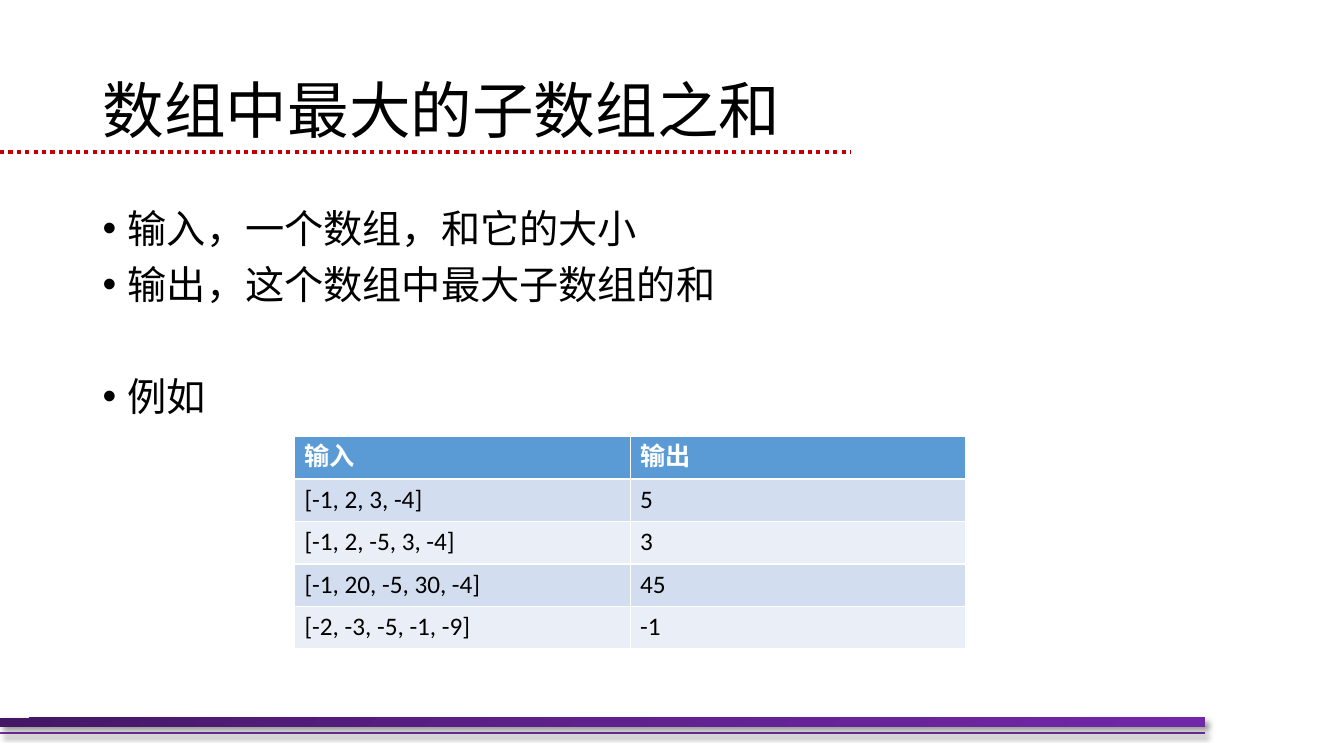
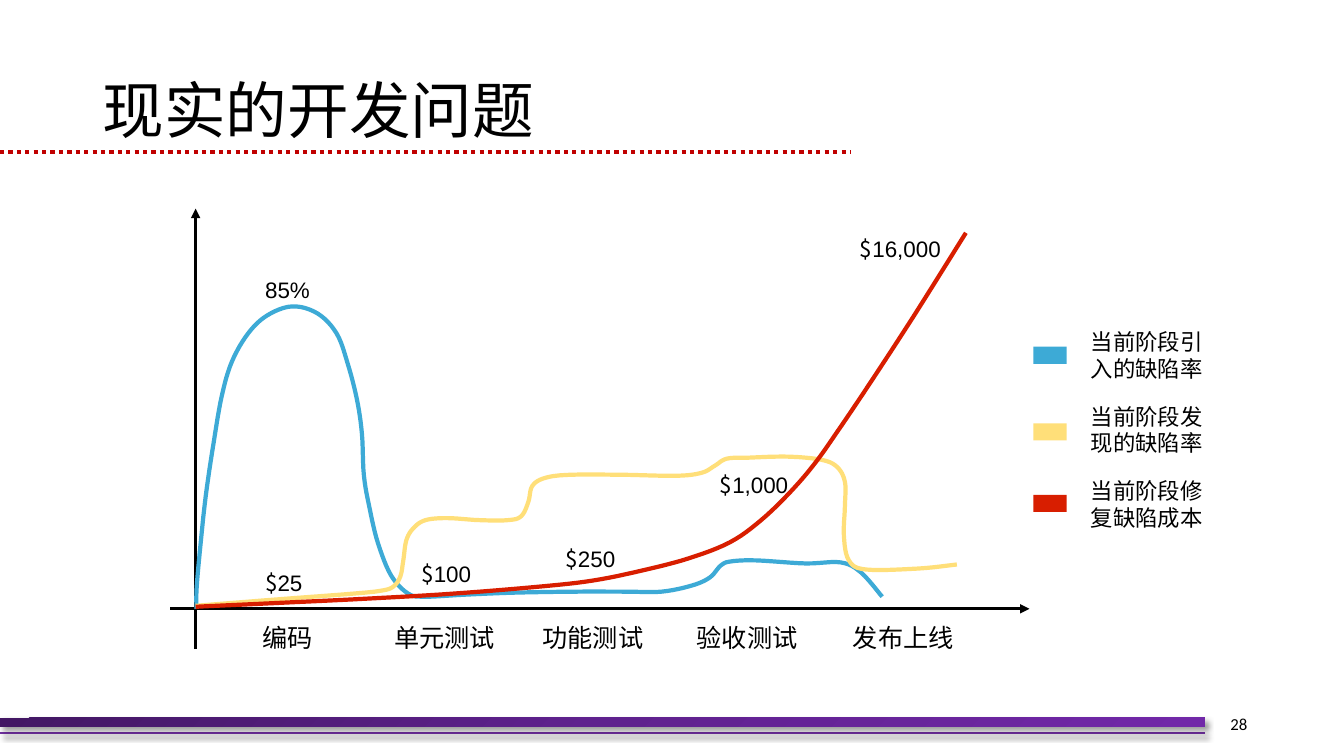
from copy import deepcopy

from lxml import etree
from pptx import Presentation
from pptx.dml.color import RGBColor
from pptx.enum.dml import MSO_LINE
from pptx.enum.shapes import MSO_CONNECTOR, MSO_SHAPE
from pptx.enum.text import MSO_ANCHOR, PP_ALIGN
from pptx.oxml.ns import qn
from pptx.util import Inches, Pt

STRAIGHT = MSO_CONNECTOR.STRAIGHT
RECTANGLE = MSO_SHAPE.RECTANGLE
DOTTED = MSO_LINE.ROUND_DOT
TOP, MIDDLE = MSO_ANCHOR.TOP, MSO_ANCHOR.MIDDLE
LEFT, RIGHT = PP_ALIGN.LEFT, PP_ALIGN.RIGHT

CJK, LATIN, TABLE_FONT = "Noto Sans CJK SC", "Arial", "Calibri"
HEX = {
    "text": "000000", "white": "FFFFFF", "title rule": "C00000", "footer rule": "7030A0",
    "footer dark": "431764", "footer mid": "5F218E", "footer light": "7128A8",
    "header": "5B9BD5", "odd row": "D2DEEF", "even row": "EAEFF7",
    "introduced": "3DAAD6", "found": "FFDF79", "cost": "D81E00",
}
COLOR = {part: RGBColor.from_string(value) for part, value in HEX.items()}

deck = Presentation()
deck.slide_width, deck.slide_height = Inches(13.33), Inches(7.5)
COL, ROW = deck.slide_width / 13.33, deck.slide_height / 7.5


def style_run(run, size, font, color="text", bold=False):
    run.font.size, run.font.name, run.font.bold = Pt(size), font, bold
    run.font.color.rgb = COLOR[color]
    etree.SubElement(run._r.get_or_add_rPr(), qn("a:ea")).set("typeface", font)


def write(slide, x, y, w, h, lines, size, font=CJK, anchor=TOP, align=LEFT, inset=(0, 0)):
    box = slide.shapes.add_textbox(int(x * COL), int(y * ROW), int(w * COL), int(h * ROW))
    frame = box.text_frame
    frame.word_wrap, frame.vertical_anchor = True, anchor
    frame.margin_left = frame.margin_right = Inches(inset[0])
    frame.margin_top = frame.margin_bottom = Inches(inset[1])
    frame.text = "\n".join(lines)
    for paragraph in frame.paragraphs:
        paragraph.alignment = align
        for run in paragraph.runs:
            style_run(run, size, font)
    return frame


slides = []
for title in ("数组中最大的子数组之和", "现实的开发问题"):
    slide = deck.slides.add_slide(deck.slide_layouts[6])
    slides.append(slide)
    footer_rule = slide.shapes.add_connector(STRAIGHT, 0, int(7.27 * ROW), int(11.95 * COL), int(7.27 * ROW))
    footer_rule.line.color.rgb, footer_rule.line.width = COLOR["footer rule"], Pt(1.5)

    band = slide.shapes.add_shape(RECTANGLE, 0, int(7.12 * ROW), int(11.95 * COL), int(0.09 * ROW))
    band.line.fill.background()
    band.fill.gradient()
    band.fill.gradient_angle = 315
    first_stop = band.fill.gradient_stops[0]._gs
    first_stop.addnext(deepcopy(first_stop))
    for stop, tone, share in zip(band.fill.gradient_stops, ("dark", "mid", "light"), (0, 0.5, 1)):
        stop.color.rgb, stop.position = COLOR["footer " + tone], share

    for part in (footer_rule, band):
        effects = etree.SubElement(part._element.spPr, qn("a:effectLst"))
        shadow = etree.SubElement(effects, qn("a:outerShdw"), blurRad=str(Pt(4)), dist=str(Pt(3)),
                                  dir="2700000", algn="tl", rotWithShape="0")
        tint = etree.SubElement(shadow, qn("a:srgbClr"), val=HEX["text"])
        etree.SubElement(tint, qn("a:alpha"), val="40000")

    title_rule = slide.shapes.add_connector(STRAIGHT, 0, int(1.51 * ROW), int(8.44 * COL), int(1.51 * ROW))
    title_rule.line.color.rgb, title_rule.line.width = COLOR["title rule"], Pt(3)
    title_rule.line.dash_style = DOTTED
    etree.SubElement(title_rule._element.spPr, qn("a:effectLst"))

    heading = write(slide, 0.92, 0.4, 11.5, 1.45, [title], 44, anchor=MIDDLE, inset=(0.1, 0.05))
    heading.paragraphs[0].line_spacing = 0.9

problem, defects = slides

points = write(problem, 0.92, 2.03, 11.5, 2.2,
               ["输入，一个数组，和它的大小", "输出，这个数组中最大子数组的和", "例如"], 28, inset=(0.1, 0.05))
for paragraph, gap in zip(points.paragraphs, (0, 10, 50)):
    properties = paragraph._p.get_or_add_pPr()
    properties.set("marL", str(Inches(0.25)))
    properties.set("indent", str(-Inches(0.25)))
    etree.SubElement(properties, qn("a:buFont"), typeface=LATIN)
    etree.SubElement(properties, qn("a:buChar"), char="•")
    paragraph.line_spacing, paragraph.space_before = Pt(30), Pt(gap)

examples = [
    ("输入", "输出"),
    ("[-1, 2, 3, -4]", "5"),
    ("[-1, 2, -5, 3, -4]", "3"),
    ("[-1, 20, -5, 30, -4]", "45"),
    ("[-2, -3, -5, -1, -9]", "-1"),
]
grid = problem.shapes.add_table(len(examples), 2, int(2.92 * COL), int(4.33 * ROW),
                                int(6.66 * COL), int(2.11 * ROW)).table
for r, example in enumerate(examples):
    fill = "header" if r == 0 else "odd row" if r % 2 else "even row"
    for c, value in enumerate(example):
        cell = grid.cell(r, c)
        cell.text_frame.text = value
        cell.fill.solid()
        cell.fill.fore_color.rgb = COLOR[fill]
        style_run(cell.text_frame.paragraphs[0].runs[0], 18, TABLE_FONT,
                  "white" if r == 0 else "text", r == 0)

for part, y in (("introduced", 3.44), ("found", 4.2), ("cost", 4.91)):
    key = defects.shapes.add_shape(RECTANGLE, int(10.25 * COL), int(y * ROW), int(0.33 * COL), int(0.17 * ROW))
    key.shadow.inherit = False
    key.fill.solid()
    key.fill.fore_color.rgb = COLOR[part]
    key.line.fill.background()

legend = write(defects, 10.82, 3.26, 1.14, 2.04,
               ["当前阶段引 入的缺陷率", "当前阶段发 现的缺陷率", "当前阶段修 复缺陷成本"], 16)
for i, paragraph in enumerate(legend.paragraphs):
    paragraph.line_spacing, paragraph.space_before = Pt(19), Pt(15.3 if i else 0)

for x1, y1, x2, y2 in ((1.69, 6.04, 10.21, 6.04), (1.94, 6.44, 1.94, 2.07)):
    axis = defects.shapes.add_connector(STRAIGHT, int(x1 * COL), int(y1 * ROW), int(x2 * COL), int(y2 * ROW))
    axis.line.color.rgb, axis.line.width = COLOR["text"], Pt(2.25)
    etree.SubElement(axis.line._get_or_add_ln(), qn("a:tailEnd"), type="triangle")
    etree.SubElement(axis._element.spPr, qn("a:effectLst"))

curves = {
    "introduced": [
        (1.95, 6.04), (1.95, 5.85), (1.98, 5.5), (2.04, 4.93), (2.12, 4.39), (2.2, 3.93), (2.3, 3.59),
        (2.46, 3.31), (2.65, 3.13), (2.9, 3.04), (3.15, 3.11), (3.34, 3.31), (3.45, 3.61), (3.54, 3.96),
        (3.59, 4.3), (3.61, 4.72), (3.67, 5.06), (3.75, 5.39), (3.88, 5.71), (4.05, 5.89), (4.22, 5.92),
        (4.61, 5.9), (5.1, 5.88), (5.71, 5.87), (6.2, 5.87), (6.56, 5.87), (6.86, 5.81), (7.04, 5.73),
        (7.15, 5.61), (7.25, 5.57), (7.5, 5.56), (7.99, 5.59), (8.34, 5.58), (8.54, 5.68), (8.75, 5.92)],
    "found": [
        (1.94, 6.01), (2.7, 5.95), (3.49, 5.89), (3.78, 5.86), (3.9, 5.82), (3.97, 5.72), (4, 5.56),
        (4.03, 5.36), (4.1, 5.24), (4.22, 5.16), (4.44, 5.14), (4.75, 5.16), (5.04, 5.16), (5.17, 5.12),
        (5.24, 4.98), (5.28, 4.82), (5.41, 4.74), (5.66, 4.71), (6.17, 4.71), (6.71, 4.72), (6.96, 4.69),
        (7.09, 4.62), (7.21, 4.55), (7.43, 4.54), (7.81, 4.53), (8.14, 4.56), (8.3, 4.63), (8.38, 4.78),
        (8.38, 5.02), (8.37, 5.32), (8.42, 5.56), (8.59, 5.65), (9.11, 5.64), (9.49, 5.6)],
    "cost": [
        (1.94, 6.02), (2.8, 5.98), (3.63, 5.94), (4.49, 5.89), (5.35, 5.82), (5.88, 5.76), (6.37, 5.66),
        (6.83, 5.54), (7.24, 5.38), (7.55, 5.16), (7.84, 4.88), (8.08, 4.6), (8.3, 4.29), (8.63, 3.8),
        (9.06, 3.14), (9.58, 2.31)],
}
STEPS = 6
for part, knots in curves.items():
    padded = [knots[0], *knots, knots[-1]]
    smooth = []
    for quad in zip(padded, padded[1:], padded[2:], padded[3:]):
        for step in range(1, STEPS + 1):
            t = step / STEPS
            x, y = (b + t * (c - a) / 2 + t**2 * (2 * a - 5 * b + 4 * c - d) / 2
                    + t**3 * (3 * b - a - 3 * c + d) / 2 for a, b, c, d in zip(*quad))
            smooth.append((int(x * COL), int(y * ROW)))
    outline = defects.shapes.build_freeform(int(knots[0][0] * COL), int(knots[0][1] * ROW))
    outline.add_line_segments(smooth, close=False)
    curve = outline.convert_to_shape()
    curve.shadow.inherit = False
    curve.fill.background()
    curve.line.color.rgb, curve.line.width = COLOR[part], Pt(3)

for phase, x, w in (("编码", 2.6, 0.53), ("单元测试", 3.91, 1.03), ("功能测试", 5.38, 1.03),
                    ("验收测试", 6.91, 1.03), ("发布上线", 8.46, 1.03)):
    write(defects, x, 6.17, w, 0.33, [phase], 18)

write(defects, 2.63, 2.74, 0.6, 0.29, ["85%"], 16, LATIN)
for amount, x, y in (("25", 2.63, 5.65), ("100", 4.18, 5.56), ("250", 5.61, 5.41),
                     ("1,000", 7.14, 4.67), ("16,000", 8.53, 2.33)):
    price = write(defects, x, y, 0.9, 0.29, ["$"], 16).paragraphs[0]
    digits = price.add_run()
    digits.text = amount
    style_run(digits, 16, LATIN)

write(defects, 11.38, 6.98, 1.09, 0.4, ["28"], 12, TABLE_FONT, MIDDLE, RIGHT, (0.1, 0.05))

deck.save("out.pptx")
